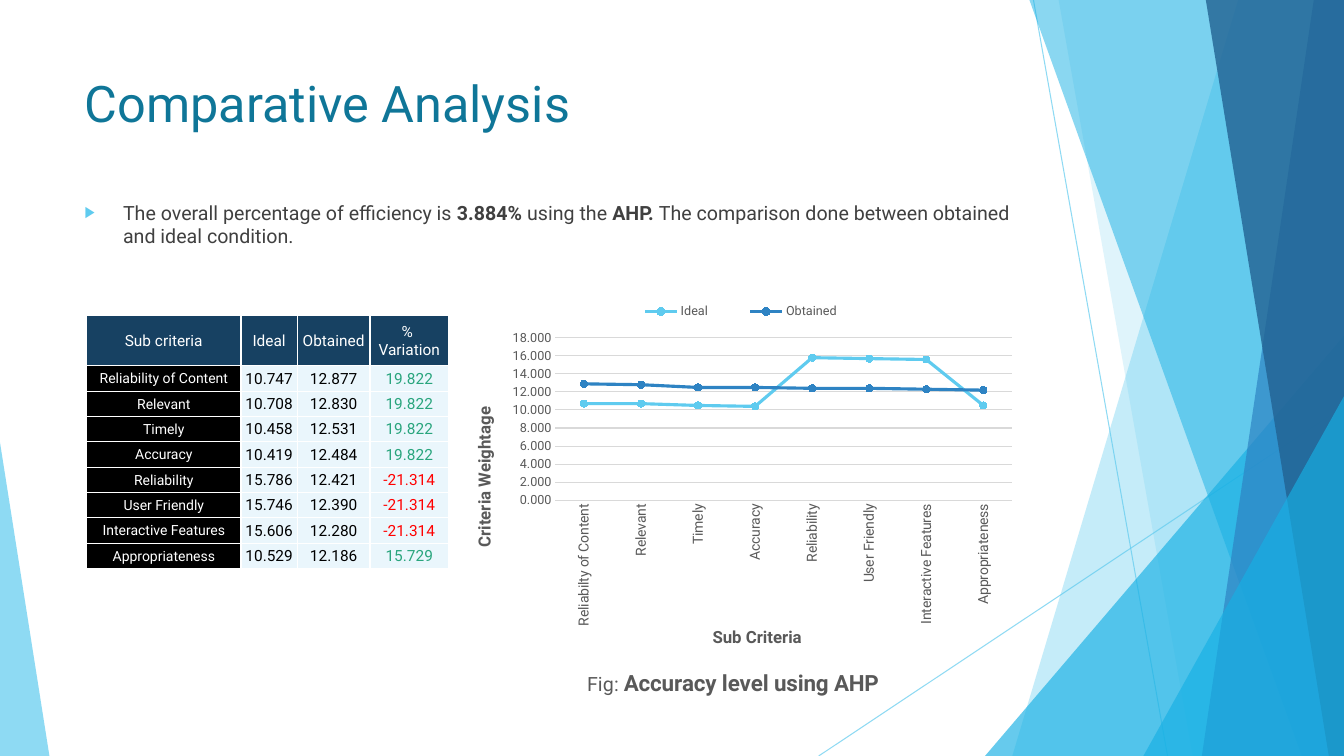
from lxml import etree
from pptx import Presentation
from pptx import util as u
from pptx.chart.data import CategoryChartData
from pptx.dml.color import RGBColor
from pptx.enum import chart as ch, shapes as sh, text as tx
from pptx.oxml import parse_xml
from pptx.oxml.ns import nsdecls, qn

FONT = "Roboto"
SKY, BLUE, CYAN, NAVY = "5FCBEF", "2E83C3", "17B0E4", "226292"
GREY, PALE, GREEN, RED = "595959", "D9D9D9", "29A57D", "FF0000"
ROWS = [
    ("Reliability of Content", 10.747, 12.877, 19.822),
    ("Relevant", 10.708, 12.830, 19.822),
    ("Timely", 10.458, 12.531, 19.822),
    ("Accuracy", 10.419, 12.484, 19.822),
    ("Reliability", 15.786, 12.421, -21.314),
    ("User Friendly", 15.746, 12.390, -21.314),
    ("Interactive Features", 15.606, 12.280, -21.314),
    ("Appropriateness", 10.529, 12.186, 15.729),
]


def rgb(code):
    return RGBColor.from_string(code)


def inch(*vals):
    return [u.Inches(v) for v in vals]


def style(font, size, color, bold=False):
    font.name, font.size, font.bold = FONT, u.Pt(size), bold
    font.color.rgb = rgb(color)


def write(para, text, size, color, bold=False):
    run = para.add_run()
    run.text = text
    style(run.font, size, color, bold)


def paint(fill, color, alpha=100):
    fill.solid()
    fill.fore_color.rgb = rgb(color)
    fade(alpha, fill._xPr)


def fade(alpha, host):
    """Set opacity in percent on the first colour inside host."""
    if alpha < 100:
        node = host.findall(".//" + qn("a:srgbClr"))[0]
        etree.SubElement(node, qn("a:alpha")).set("val", str(alpha * 1000))


def band(slide, box, top, foot):
    """Panel from a slanted left edge to the right side of box."""
    x, y, w, h = box
    pen = slide.shapes.build_freeform(*inch(top, y))
    pen.add_line_segments([inch(x + w, y), inch(x + w, y + h), inch(foot, y + h)])
    return pen.convert_to_shape()


def wedge(slide, box, wide, high, tip):
    """Triangle in a lower corner of box; tip 0 is left, 1 is right."""
    x, y, w, h = box
    left = x + (w - wide) * tip
    form = slide.shapes.add_shape(sh.MSO_SHAPE.ISOSCELES_TRIANGLE,
                                  *inch(left, y + h - high, wide, high))
    form.adjustments[0] = tip
    return form


def decor(slide, box):
    x, y, w, h = box
    for ends in ((10.25, y, 11.58, y + h), (x + w, 4.03, 8.12, y + h)):
        rule = slide.shapes.add_connector(sh.MSO_CONNECTOR.STRAIGHT, *inch(*ends))
        rule.line.width = u.Pt(0.75)
        rule.line.color.rgb = rgb(SKY)
        props = rule.element.spPr
        fade(70, props)
        etree.SubElement(props, qn("a:effectLst"))
    for make, args, color, alpha in (
        (band, (12.28, 10.04), SKY, 36),
        (band, (10.5, 11.83), SKY, 20),
        (wedge, (3.56, 4.17, 1), CYAN, 66),
        (band, (10.21, 12.91), CYAN, 50),
        (band, (13.03, 11.92), BLUE, 70),
        (band, (11.96, 13.18), NAVY, 80),
        (wedge, (1.99, 3.57, 1), CYAN, 66),
        (wedge, (0.49, 3.11, 0), SKY, 70),
    ):
        form = make(slide, box, *args)
        form.shadow.inherit = False
        paint(form.fill, color, alpha)
        form.line.fill.background()


def holder(slide, spot, box):
    """Move a placeholder to box, on top, and return its first paragraph."""
    form = slide.placeholders[spot]
    slide.shapes.element.append(form.element)
    form.left, form.top, form.width, form.height = inch(*box)
    frame = form.text_frame
    frame.auto_size = tx.MSO_AUTO_SIZE.NONE
    frame.vertical_anchor = tx.MSO_ANCHOR.TOP
    para = frame.paragraphs[0]
    para.alignment = tx.PP_ALIGN.LEFT
    return para


def title(slide, box):
    write(holder(slide, 0, box), "Comparative Analysis", 36, "0F7698")


def body(slide, box):
    para = holder(slide, 1, box)
    para.space_before = u.Pt(10)
    props = para._p.get_or_add_pPr()
    props.set("marL", str(u.Inches(0.38)))
    props.set("indent", str(u.Inches(-0.38)))
    for part in (f'<a:buClr {nsdecls("a")}><a:srgbClr val="{SKY}"/></a:buClr>',
                 f'<a:buSzPct {nsdecls("a")} val="80000"/>',
                 f'<a:buFont {nsdecls("a")} typeface="Arial"/>',
                 f'<a:buChar {nsdecls("a")} char="▶"/>'):
        props.append(parse_xml(part))
    for text, bold in (
        ("The overall percentage of efficiency is ", False),
        ("3.884%", True),
        (" using the ", False),
        ("AHP. ", True),
        ("The comparison done between obtained and ideal condition.", False),
    ):
        write(para, text, 14, "404040", bold)


def cell(spot, text, size, color, fill):
    spot.margin_left, spot.margin_top, spot.margin_right, spot.margin_bottom = inch(
        0.01, 0.01, 0.01, 0)
    spot.vertical_anchor = tx.MSO_ANCHOR.MIDDLE
    paint(spot.fill, fill)
    frame = spot.text_frame
    for num, line in enumerate(text.split("\n")):
        para = frame.add_paragraph() if num else frame.paragraphs[0]
        para.alignment = tx.PP_ALIGN.CENTER
        write(para, line, size, color)
    props = spot._tc.get_or_add_tcPr()
    for num, side in enumerate("LRTB"):
        props.insert(num, parse_xml(
            f'<a:ln{side} {nsdecls("a")} w="12700"><a:solidFill>'
            f'<a:srgbClr val="FFFFFF"/></a:solidFill></a:ln{side}>'))


def table(slide, box):
    grid = slide.shapes.add_table(len(ROWS) + 1, 4, *inch(*box)).table
    grid.horz_banding = False
    for col, wide in zip(grid.columns, (1.53, 0.56, 0.72, 0.78)):
        col.width = u.Inches(wide)
    head = 0.5
    for num, row in enumerate(grid.rows):
        row.height = u.Inches((box[3] - head) / len(ROWS) if num else head)
    for col, text in enumerate(("Sub criteria", "Ideal", "Obtained", "% \nVariation")):
        cell(grid.cell(0, col), text, 11, "FFFFFF", "174162")
    for num, (name, *vals) in enumerate(ROWS, 1):
        cell(grid.cell(num, 0), name, 10, "FFFFFF", "000000")
        tone = GREEN if vals[-1] > 0 else RED
        for col, (val, color) in enumerate(zip(vals, ("000000", "000000", tone)), 1):
            cell(grid.cell(num, col), f"{val:.3f}", 11, color, "EAF6FC")


def place(plot, route, **dims):
    """Give a chart part a manual layout, in fractions of the chart."""
    node = plot.element.xpath(route)[0]
    for old in node.findall(qn("c:layout")):
        node.remove(old)
    inner = '<c:layoutTarget val="inner"/>' if node.tag == qn("c:plotArea") else ""
    modes = "".join(f'<c:{k}Mode val="edge"/>' for k in "xy")
    sizes = "".join(f'<c:{k} val="{v}"/>' for k, v in dims.items())
    node.insert(0 if inner else 1, parse_xml(
        f'<c:layout {nsdecls("c")}><c:manualLayout>{inner}{modes}{sizes}'
        '</c:manualLayout></c:layout>'))


def chart(slide, box):
    data = CategoryChartData(number_format="0.000")
    data.categories = ["Reliabilty of Content"] + [row[0] for row in ROWS[1:]]
    for col, name in enumerate(("Ideal", "Obtained"), 1):
        data.add_series(name, [round(row[col], 1) for row in ROWS])
    plot = slide.shapes.add_chart(ch.XL_CHART_TYPE.LINE_MARKERS, *inch(*box), data).chart
    style(plot.font, 10, "000000")
    plot.plots[0].vary_by_categories = False
    for line, color in zip(plot.plots[0].series, (SKY, BLUE)):
        line.smooth = False
        line.format.line.width = u.Pt(2.25)
        line.format.line.color.rgb = rgb(color)
        line.marker.style, line.marker.size = ch.XL_MARKER_STYLE.CIRCLE, 5
        paint(line.marker.format.fill, color)
        line.marker.format.line.color.rgb = rgb(color)
    cat, val = plot.category_axis, plot.value_axis
    for axis, name, size in ((cat, "Sub Criteria", 10), (val, "Criteria Weightage", 9)):
        axis.major_tick_mark = axis.minor_tick_mark = ch.XL_TICK_MARK.NONE
        style(axis.tick_labels.font, size, GREY)
        write(axis.axis_title.text_frame.paragraphs[0], name, 12, GREY, True)
    val.minimum_scale, val.maximum_scale, val.major_unit = 0, 18, 2
    val.tick_labels.number_format = "0.000"
    val.tick_labels.number_format_is_linked = False
    val.format.line.fill.background()
    for line in (cat.format.line, val.major_gridlines.format.line):
        line.width, line.color.rgb = u.Pt(0.75), rgb(PALE)
    for route in ("//c:catAx/c:txPr/a:bodyPr", "//c:valAx/c:title//a:bodyPr"):
        for node in plot.element.xpath(route):
            node.set("rot", "-5400000")
            node.set("vert", "horz")
    plot.has_legend = True
    plot.legend.position = ch.XL_LEGEND_POSITION.BOTTOM
    plot.legend.include_in_layout = False
    style(plot.legend.font, 9, GREY)
    para = plot.chart_title.text_frame.paragraphs[0]
    write(para, "Fig: ", 14, GREY)
    write(para, "Accuracy level using AHP", 16, GREY, True)
    place(plot, "//c:plotArea", x=0.18, y=0.15, w=0.8, h=0.37)
    place(plot, "//c:legend", x=0.27, y=0.06, w=0.47, h=0.06)
    place(plot, "//c:catAx/c:title", x=0.45, y=0.8)
    place(plot, "//c:valAx/c:title", x=0.03, y=0.3)
    place(plot, "c:chart/c:title", x=0.23, y=0.9)


def main():
    deck = Presentation()
    deck.slide_width, deck.slide_height = inch(13.33, 7.5)
    slide = deck.slides.add_slide(deck.slide_layouts[1])
    decor(slide, (0, 0, 13.33, 7.5))
    title(slide, (0.74, 0.67, 9.4, 1.27))
    body(slide, (0.74, 1.94, 9.4, 4.67))
    chart(slide, (4.49, 2.7, 5.66, 4.35))
    table(slide, (0.86, 3.13, 3.59, 2.51))
    deck.save("out.pptx")


if __name__ == "__main__":
    main()
